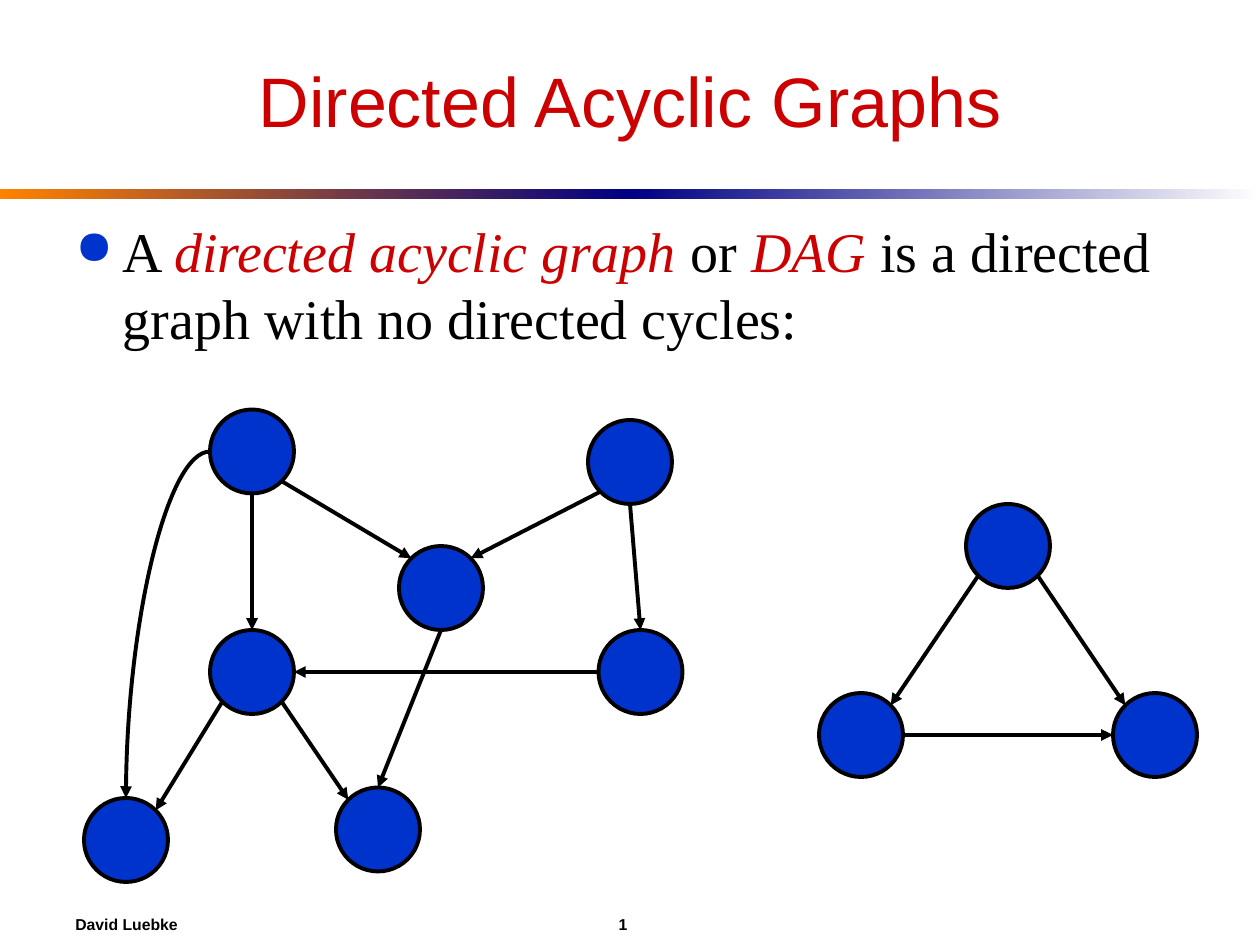
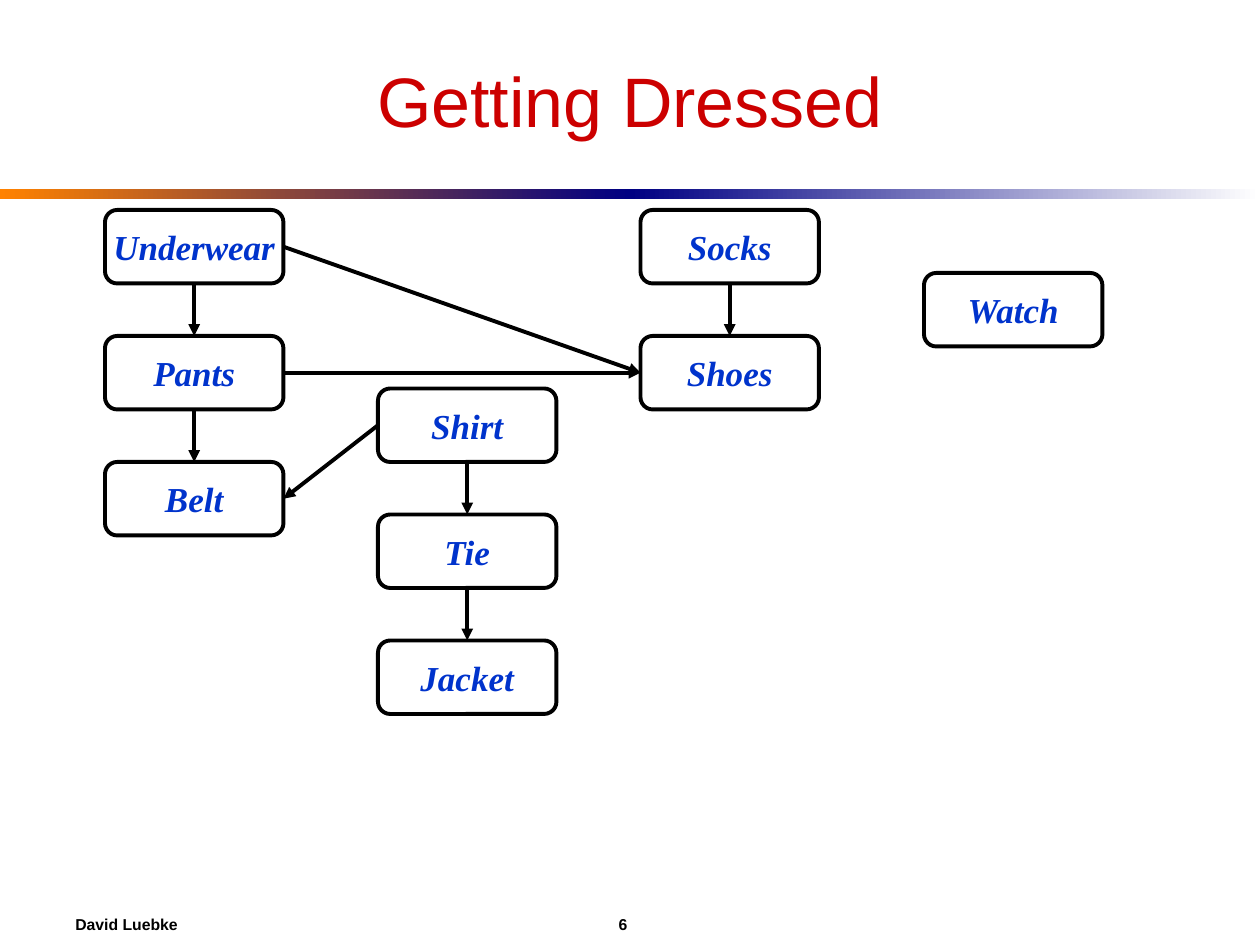
"""Build two slides on directed acyclic graphs: a definition and a dressing order."""
from math import cos, radians, sin

from lxml import etree
from pptx import Presentation
from pptx import util as u
from pptx.dml.color import RGBColor
from pptx.enum import shapes, text
from pptx.oxml import ns

RED = RGBColor(0xCC, 0x00, 0x00)
BLUE = RGBColor(0x00, 0x33, 0xCC)
BLACK = RGBColor(0x00, 0x00, 0x00)
WHITE = RGBColor(0xFF, 0xFF, 0xFF)
ORANGE = RGBColor(0xFF, 0x82, 0x00)
NAVY = RGBColor(0x00, 0x00, 0x82)

COLUMNS, ROWS = 120, 90
NODE_SIZE = 8
BOX_WIDTH, BOX_HEIGHT = 17, 7
TOP, LEFT, BOTTOM, RIGHT = range(4)
ANGLES = {"E": 0, "SE": 45, "S": 90, "SW": 135, "W": 180, "NW": 225, "N": 270, "NE": 315}

TITLE = {"name": "Arial", "size": u.Pt(40)}
FOOTER = {"name": "Arial", "size": u.Pt(9), "bold": True}
BODY = {"name": "Times New Roman", "size": u.Pt(32)}
TERM = {**BODY, "italic": True}
LABEL = {"name": "Times New Roman", "size": u.Pt(20), "bold": True, "italic": True}

GRAPH_NODES = {
    "a": (20, 39), "b": (56, 40), "c": (38, 52), "d": (20, 60), "e": (57, 60),
    "f": (32, 75), "g": (8, 76), "top": (92, 48), "right": (106, 66), "left": (78, 66),
}
GRAPH_EDGES = [
    ("a", "S", "d", "N"), ("a", "SE", "c", "NW"), ("b", "SW", "c", "NE"),
    ("b", "S", "e", "N"), ("e", "W", "d", "E"), ("c", "S", "f", "N"),
    ("d", "SE", "f", "NW"), ("d", "SW", "g", "NE"), ("top", "SW", "left", "NE"),
    ("left", "E", "right", "W"), ("top", "SE", "right", "NW"),
]
CLOTHES_COLUMNS = [
    (10, 20, ["Underwear", "Pants", "Belt"]),
    (61, 20, ["Socks", "Shoes"]),
    (36, 37, ["Shirt", "Tie", "Jacket"]),
    (88, 26, ["Watch"]),
]
CLOTHES_STEP = 12


def apply(target, values):
    for name, value in values.items():
        setattr(target, name, value)


def add_xml(parent, tag, **attributes):
    return etree.SubElement(parent, ns.qn(tag), attributes)


class Style:
    def __init__(self):
        self.deck = Presentation()
        apply(self.deck, {"slide_width": u.Inches(10), "slide_height": u.Inches(7.5)})
        self.page = None

    def x(self, columns):
        return round(self.deck.slide_width * columns / COLUMNS)

    def y(self, rows):
        return round(self.deck.slide_height * rows / ROWS)

    def area(self, column, row, width, height):
        return self.x(column), self.y(row), self.x(width), self.y(height)

    def start(self, title, number):
        self.page = self.deck.slides.add_slide(self.deck.slide_layouts[6])
        self.band(0, ORANGE, NAVY)
        self.band(COLUMNS / 2, NAVY, WHITE)
        heading = self.textbox((6, 3, 108, 13), [(title, TITLE, RED)], text.MSO_ANCHOR.MIDDLE)
        heading.alignment = text.PP_ALIGN.CENTER
        footer = self.textbox((6, 86, 108, 4), [(f"David Luebke\t{number}", FOOTER, BLACK)],
                              text.MSO_ANCHOR.MIDDLE)
        tabs = add_xml(footer._p.get_or_add_pPr(), "a:tabLst")
        add_xml(tabs, "a:tab", pos=str(self.x(51.75)), algn="l")

    def band(self, column, first, last):
        band = self.shape(shapes.MSO_SHAPE.RECTANGLE, (column, 18, COLUMNS / 2, 1))
        band.line.fill.background()
        band.fill.gradient()
        band.fill.gradient_angle = 0
        for stop, color in zip(band.fill.gradient_stops, (first, last)):
            stop.color.rgb = color

    def shape(self, kind, area):
        shape = self.page.shapes.add_shape(kind, *self.area(*area))
        shape.shadow.inherit = False
        self.outline(shape.line)
        return shape

    def outline(self, line):
        line.color.rgb = BLACK
        line.width = u.Pt(2.25)

    def spans(self, para, pieces):
        for words, font, color in pieces:
            span = para.add_run()
            span.text = words
            apply(span.font, font)
            span.font.color.rgb = color

    def textbox(self, area, pieces, anchor=text.MSO_ANCHOR.TOP):
        frame = self.page.shapes.add_textbox(*self.area(*area)).text_frame
        apply(frame, {"word_wrap": True, "vertical_anchor": anchor})
        para = frame.paragraphs[0]
        self.spans(para, pieces)
        return para

    def bullet(self, area, pieces):
        para = self.textbox(area, pieces)
        para.space_before = u.Pt(8)
        properties = para._p.get_or_add_pPr()
        indent = self.x(4.5)
        apply_indent = {"marL": indent, "indent": -indent}
        for name, value in apply_indent.items():
            properties.set(name, str(value))
        add_xml(add_xml(properties, "a:buClr"), "a:srgbClr", val=str(BLUE))
        add_xml(properties, "a:buSzPct", val="85000")
        add_xml(properties, "a:buChar", char="●")

    def node(self, column, row):
        node = self.shape(shapes.MSO_SHAPE.OVAL, (column, row, NODE_SIZE, NODE_SIZE))
        node.fill.solid()
        node.fill.fore_color.rgb = BLUE

    def rim(self, corner, side):
        radius, angle = NODE_SIZE / 2, radians(ANGLES[side])
        column, row = corner
        return (self.x(column + radius + radius * cos(angle)),
                self.y(row + radius + radius * sin(angle)))

    def label_box(self, column, row, words):
        box = self.shape(shapes.MSO_SHAPE.ROUNDED_RECTANGLE, (column, row, BOX_WIDTH, BOX_HEIGHT))
        box.fill.background()
        box.adjustments[0] = 0.167
        apply(box.text_frame, {"word_wrap": False, "vertical_anchor": text.MSO_ANCHOR.MIDDLE})
        para = box.text_frame.paragraphs[0]
        para.alignment = text.PP_ALIGN.CENTER
        self.spans(para, [(words, LABEL, BLUE)])
        return box

    def arrow(self, begin=(0, 0), end=(0, 0), kind=shapes.MSO_CONNECTOR.STRAIGHT):
        arrow = self.page.shapes.add_connector(kind, *begin, *end)
        self.outline(arrow.line)
        properties = arrow._element.spPr
        add_xml(properties.find(ns.qn("a:ln")), "a:tailEnd", type="triangle")
        add_xml(properties, "a:effectLst")
        return arrow

    def quarter_arrow(self, begin, end):
        arrow = self.arrow(begin, end, shapes.MSO_CONNECTOR.CURVE)
        arrow._element.spPr.find(ns.qn("a:prstGeom")).set("prst", "curvedConnector2")

    def join(self, first, first_side, second, second_side):
        arrow = self.arrow()
        arrow.begin_connect(first, first_side)
        arrow.end_connect(second, second_side)


def build_graphs(style):
    style.start("Directed Acyclic Graphs", 1)
    style.bullet((6, 20, 108, 57), [
        ("A ", BODY, BLACK), ("directed acyclic graph", TERM, RED), (" or ", BODY, BLACK),
        ("DAG", TERM, RED), (" is a directed graph with no directed cycles:", BODY, BLACK),
    ])
    for corner in GRAPH_NODES.values():
        style.node(*corner)
    for source, source_side, target, target_side in GRAPH_EDGES:
        style.arrow(style.rim(GRAPH_NODES[source], source_side),
                    style.rim(GRAPH_NODES[target], target_side))
    style.quarter_arrow(style.rim(GRAPH_NODES["a"], "W"), style.rim(GRAPH_NODES["g"], "N"))


def build_dressing(style):
    style.start("Getting Dressed", 6)
    boxes = {}
    for column, row, clothes in CLOTHES_COLUMNS:
        for index, garment in enumerate(clothes):
            boxes[garment] = style.label_box(column, row + index * CLOTHES_STEP, garment)
    for column, row, clothes in CLOTHES_COLUMNS:
        for upper, lower in zip(clothes, clothes[1:]):
            style.join(boxes[upper], BOTTOM, boxes[lower], TOP)
    style.join(boxes["Shirt"], LEFT, boxes["Belt"], RIGHT)
    for garment in ("Underwear", "Pants"):
        style.join(boxes[garment], RIGHT, boxes["Shoes"], LEFT)


def main():
    style = Style()
    build_graphs(style)
    build_dressing(style)
    style.deck.save("out.pptx")


if __name__ == "__main__":
    main()
